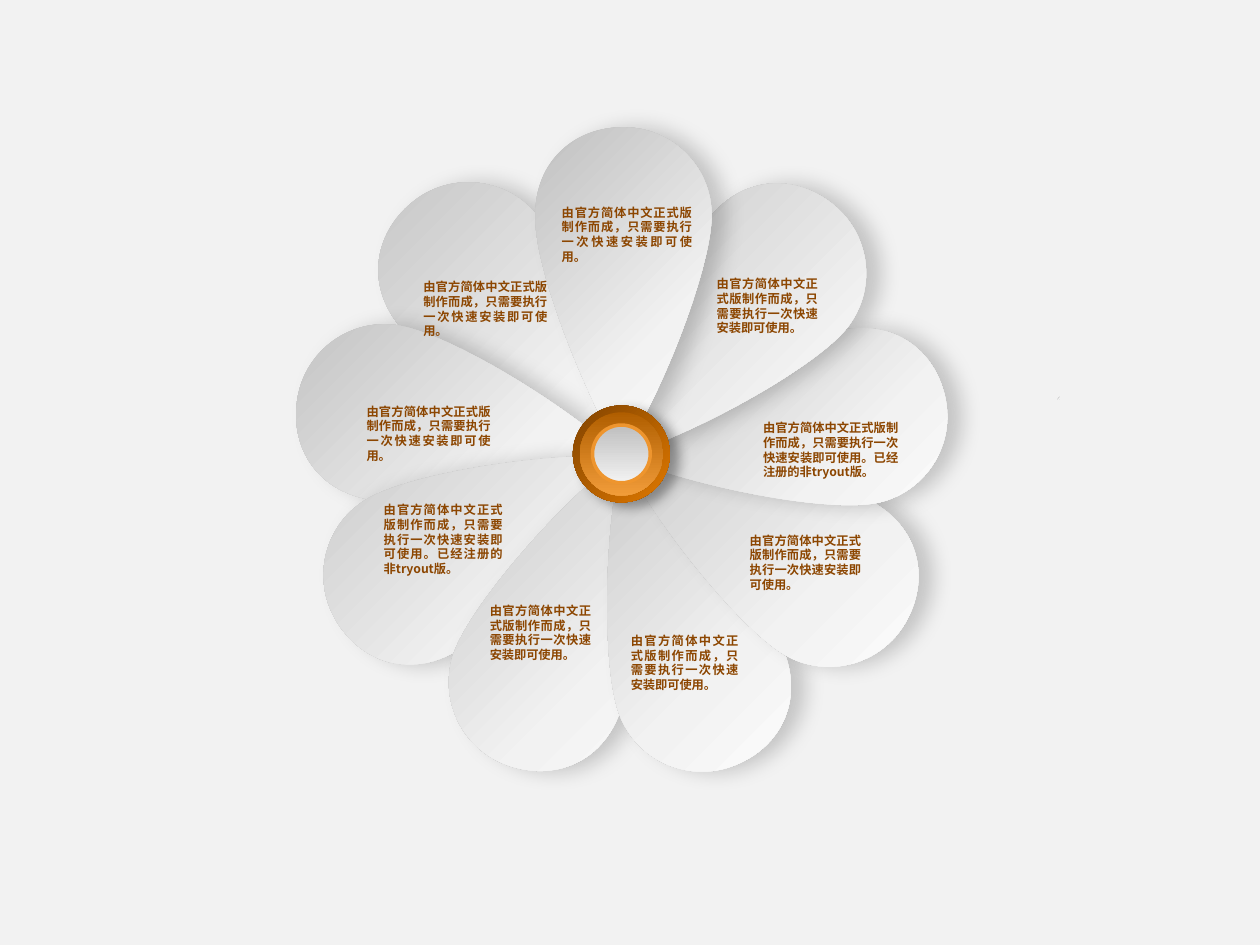
from lxml.etree import SubElement
from pptx import Presentation
from pptx.dml.color import RGBColor
from pptx.enum.shapes import MSO_SHAPE
from pptx.enum.text import MSO_AUTO_SIZE, PP_ALIGN
from pptx.oxml.ns import qn
from pptx.util import Pt
from math import cos, radians, sin

SHORT = "由官方简体中文正式版制作而成，只需要执行一次快速安装即可使用。"
LONG = SHORT + "已经注册的非tryout版。"
LABELS = [
    (313.9, 113.6, 88.6, 32.4, SHORT),
    (402.5, 154.5, 72, 41, SHORT),
    (429, 236.8, 91.4, 41, LONG),
    (421.3, 301, 77.8, 41, SHORT),
    (353.4, 358.4, 75.6, 41, SHORT),
    (272.8, 341.1, 72, 41, SHORT),
    (212.2, 283.6, 82.1, 49.7, LONG),
    (202.4, 227.3, 85, 32.4, SHORT),
    (234.8, 156.1, 85, 32.4, SHORT),
]
LABEL_FONT = {"name": "Noto Sans CJK SC", "size": Pt(7), "bold": True}

CENTER = (355.1, 260.8)
PETAL_START = (-49.2, -137.8)
PETAL_CURVES = [
    ((-49.2, -168.8), (-26.8, -188.1), (1.2, -188.1)),
    ((28.8, -188.1), (51.6, -165.8), (51.6, -137.8)),
    ((51.6, -109.8), (25.7, -40), (0, 0)),
    ((-21, -37), (-49.8, -106), PETAL_START),
]
PETAL_ANGLES = range(320, -1, -40)
PETAL_STOPS = [(0, "FFFFFF"), (34, "F2F2F2"), (100, "BFBFBF")]
PETAL_SHADOW = (18, 12, 8, 0)
SPECKS = [
    [(605.5, 226.8), (605.5, 228.2), (604.8, 227.5)],
    [(604.1, 227.5), (604.8, 227.5), (604.1, 228.2)],
]

HUB_CENTER = (355.1, 259.4)
HUB_DISKS = [
    (55.4, [(0, "814300"), (100, "E07900")], 45, (36, 7, 6, 30), None),
    (47.6, [(0, "B05E00"), (100, "F19C39")], 90, None, None),
    (33, [(0, "BFBFBF"), (100, "F2F2F2")], 90, None, "EE952E"),
]


def rgb(value):
    """Return the colour for a hex string."""
    return RGBColor.from_string(value)


def add_element(parent, tag, **attributes):
    """Append a drawing element with the given attributes."""
    values = {name: str(value) for name, value in attributes.items()}
    return SubElement(parent, qn(tag), values)


def style_shape(shape, stops, angle=None, shadow=None, outline=None):
    """Give a shape its gradient, outline and shadow."""
    if outline:
        shape.line.color.rgb = rgb(outline)
        shape.line.width = Pt(2)
    else:
        shape.line.fill.background()
    shape.shadow.inherit = False
    properties = shape._element.spPr
    gradient = add_element(properties, "a:gradFill", rotWithShape=0)
    stop_list = add_element(gradient, "a:gsLst")
    for position, color in stops:
        stop = add_element(stop_list, "a:gs", pos=position * 1000)
        add_element(stop, "a:srgbClr", val=color)
    if angle is None:
        focus = add_element(gradient, "a:path", path="circle")
        add_element(focus, "a:fillToRect", l=100000, t=100000)
    else:
        add_element(gradient, "a:lin", ang=angle * 60000, scaled=0)
    properties.find(qn("a:ln")).addprevious(gradient)
    if shadow:
        opacity, blur, distance, direction = shadow
        effects = properties.find(qn("a:effectLst"))
        outer = add_element(effects, "a:outerShdw", blurRad=Pt(blur), dist=Pt(distance),
                            dir=direction * 60000, algn="ctr", rotWithShape=0)
        color = add_element(outer, "a:srgbClr", val="000000")
        add_element(color, "a:alpha", val=opacity * 1000)


def add_outline(slide, points):
    """Draw a closed shaded outline through the points."""
    start, *others = [(Pt(x), Pt(y)) for x, y in points]
    builder = slide.shapes.build_freeform(*start)
    builder.add_line_segments(others, close=True)
    shape = builder.convert_to_shape()
    style_shape(shape, PETAL_STOPS, shadow=PETAL_SHADOW)
    return shape


def bend_sides(shape):
    """Turn the straight sides of a petal into curves."""
    sides = list(shape._element.iter(qn("a:lnTo")))
    for side, curve in zip(sides, PETAL_CURVES):
        bend = add_element(side.getparent(), "a:cubicBezTo")
        for x, y in curve:
            add_element(bend, "a:pt", x=Pt(CENTER[0] + x) - shape.left,
                        y=Pt(CENTER[1] + y) - shape.top)
        side.getparent().replace(side, bend)
    for side in sides[len(PETAL_CURVES):]:
        side.getparent().remove(side)


def add_petal(slide, angle):
    """Draw a petal turned about the flower center."""
    anchors = [PETAL_START] + [curve[-1] for curve in PETAL_CURVES]
    petal = add_outline(slide, [(CENTER[0] + x, CENTER[1] + y) for x, y in anchors])
    bend_sides(petal)
    turn = radians(angle)
    across = petal.left + petal.width / 2 - Pt(CENTER[0])
    down = petal.top + petal.height / 2 - Pt(CENTER[1])
    middle_x = Pt(CENTER[0]) + across * cos(turn) - down * sin(turn)
    middle_y = Pt(CENTER[1]) + across * sin(turn) + down * cos(turn)
    petal.left = round(middle_x - petal.width / 2)
    petal.top = round(middle_y - petal.height / 2)
    petal.rotation = angle


def add_label(slide, left, top, width, height, text):
    """Add the justified text of one petal."""
    box = slide.shapes.add_textbox(Pt(left), Pt(top), Pt(width), Pt(height))
    frame = box.text_frame
    frame.word_wrap = True
    frame.auto_size = MSO_AUTO_SIZE.SHAPE_TO_FIT_TEXT
    para = frame.paragraphs[0]
    para.alignment = PP_ALIGN.JUSTIFY
    para.line_spacing = Pt(8.4)
    para._element.pPr.set("hangingPunct", "0")
    span = para.add_run()
    span.text = text
    for name, value in LABEL_FONT.items():
        setattr(span.font, name, value)
    span.font.color.rgb = rgb("8C4601")
    add_element(span.font._element, "a:ea", typeface=LABEL_FONT["name"])


def add_hub(slide):
    """Add the grouped disks at the middle of the flower."""
    group = slide.shapes.add_group_shape()
    for size, stops, angle, shadow, outline in HUB_DISKS:
        left, top = (Pt(middle - size / 2) for middle in HUB_CENTER)
        disk = group.shapes.add_shape(MSO_SHAPE.OVAL, left, top, Pt(size), Pt(size))
        style_shape(disk, stops, angle, shadow, outline)


def main():
    """Build the flower slide."""
    deck = Presentation()
    deck.slide_width, deck.slide_height = Pt(720), Pt(540)
    slide = deck.slides.add_slide(deck.slide_layouts[6])
    slide.background.fill.solid()
    slide.background.fill.fore_color.rgb = rgb("F2F2F2")
    for angle in PETAL_ANGLES:
        add_petal(slide, angle)
    for label in LABELS:
        add_label(slide, *label)
    add_hub(slide)
    for speck in SPECKS:
        add_outline(slide, speck)
    deck.save("out.pptx")


if __name__ == "__main__":
    main()
